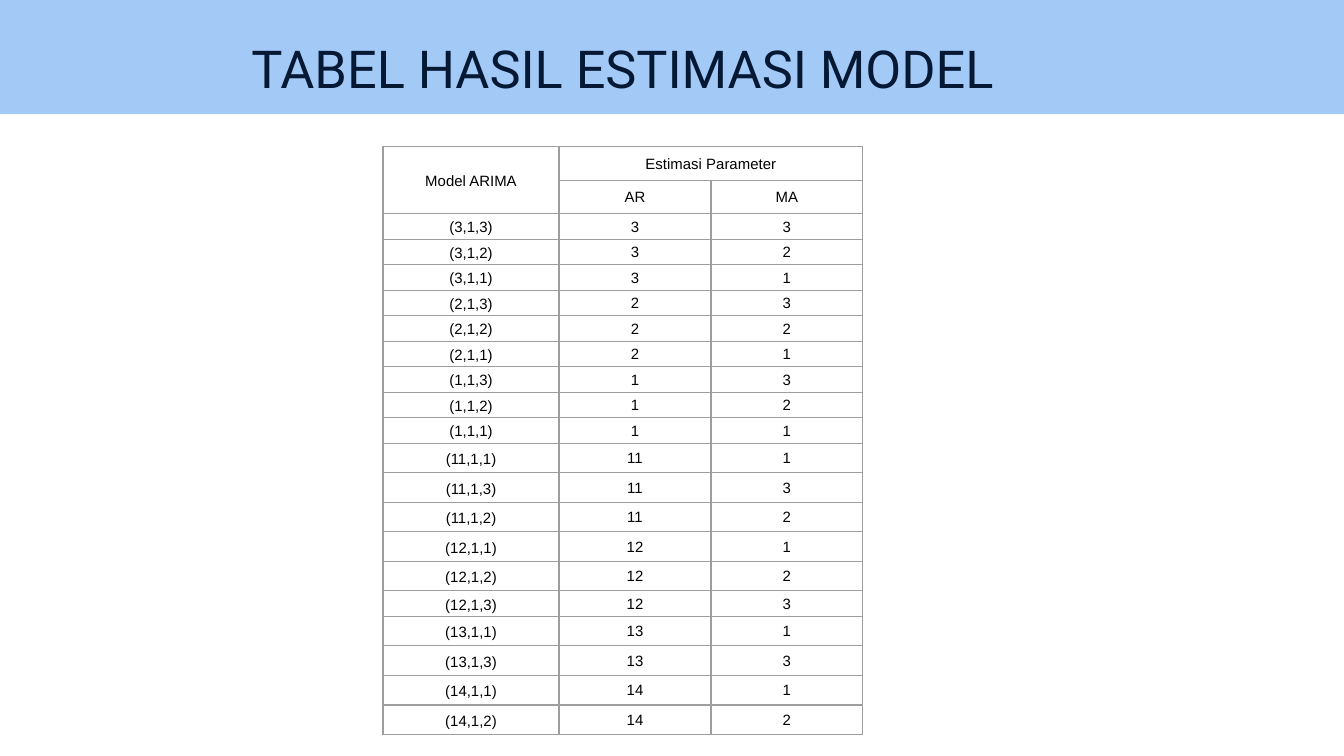
"""Build the slide with the table of ARIMA model estimates."""
from lxml import etree
from pptx import Presentation
from pptx import util as u
from pptx.dml.color import RGBColor
from pptx.enum import shapes, text
from pptx.oxml import ns

TITLE = "TABEL HASIL ESTIMASI MODEL"
MODEL_HEADING = "Model ARIMA"
PARAMETER_HEADING = "Estimasi Parameter"
PARAMETERS = ("AR", "MA")
MODELS = [
    (3, 1, 3), (3, 1, 2), (3, 1, 1),
    (2, 1, 3), (2, 1, 2), (2, 1, 1),
    (1, 1, 3), (1, 1, 2), (1, 1, 1),
    (11, 1, 1), (11, 1, 3), (11, 1, 2),
    (12, 1, 1), (12, 1, 2), (12, 1, 3),
    (13, 1, 1), (13, 1, 3),
    (14, 1, 1), (14, 1, 2),
]
COMPACT_MODEL = (12, 1, 3)

BAND_BLUE = RGBColor(0xA3, 0xCA, 0xF7)
TITLE_NAVY = RGBColor(0x05, 0x19, 0x34)
BLACK = RGBColor(0, 0, 0)
BORDER_GREY = RGBColor(0x9E, 0x9E, 0x9E)

SLIDE_WIDTH = u.Inches(10)
SLIDE_HEIGHT = SLIDE_WIDTH * 9 // 16
COLUMN_WIDTHS = (1.31, 1.13, 1.13)
HEADING_HEIGHT, COMPACT_HEIGHT, TALL_HEIGHT = 0.25, 0.19, 0.22


def add_run(paragraph, words, font_name, size, color):
    run = paragraph.add_run()
    run.text = words
    run.font.name = font_name
    run.font.size = u.Pt(size)
    run.font.color.rgb = color


def model_height(model):
    is_tall = model[0] > 10 and model != COMPACT_MODEL
    return TALL_HEIGHT if is_tall else COMPACT_HEIGHT


def add_borders(cell):
    properties = cell._tc.get_or_add_tcPr()
    for side in ("a:lnL", "a:lnR", "a:lnT", "a:lnB"):
        border = etree.SubElement(properties, ns.qn(side), w=str(u.Pt(0.75)))
        fill = etree.SubElement(border, ns.qn("a:solidFill"))
        etree.SubElement(fill, ns.qn("a:srgbClr"), val=str(BORDER_GREY))


def format_cell(cell, words, inset):
    add_borders(cell)
    cell.fill.background()
    cell.vertical_anchor = text.MSO_ANCHOR.MIDDLE
    cell.margin_left = cell.margin_top = cell.margin_right = u.Inches(inset)
    cell.margin_bottom = 0
    if words:
        paragraph = cell.text_frame.paragraphs[0]
        paragraph.alignment = text.PP_ALIGN.CENTER
        paragraph.line_spacing = 1.07
        paragraph.space_after = u.Pt(8)
        add_run(paragraph, words, "Arial", 8, BLACK)


def add_title(slide):
    title = slide.shapes.title
    title.left, title.top = u.Inches(1.77), u.Inches(0.17)
    title.width, title.height = u.Inches(7.73), u.Inches(0.63)
    frame = title.text_frame
    frame.word_wrap = True
    frame.auto_size = text.MSO_AUTO_SIZE.NONE
    frame.vertical_anchor = text.MSO_ANCHOR.TOP
    frame.margin_left = frame.margin_right = u.Inches(0.1)
    frame.margin_top = frame.margin_bottom = u.Inches(0.1)
    heading = frame.paragraphs[0]
    heading.alignment = text.PP_ALIGN.LEFT
    heading.line_spacing = 1.0
    heading.space_before = u.Pt(0)
    add_run(heading, TITLE, "Roboto", 28, TITLE_NAVY)


def add_band(slide):
    band = slide.shapes.add_shape(
        shapes.MSO_SHAPE.RECTANGLE, 0, 0, SLIDE_WIDTH, u.Inches(0.85))
    band.shadow.inherit = False
    band.fill.solid()
    band.fill.fore_color.rgb = BAND_BLUE
    band.line.fill.background()
    slide.shapes.title._element.addprevious(band._element)


def add_estimates(slide):
    rows = [(MODEL_HEADING, PARAMETER_HEADING, ""), ("", *PARAMETERS)]
    rows += [(f"({p},{d},{q})", str(p), str(q)) for p, d, q in MODELS]
    heights = [HEADING_HEIGHT] * 2 + [model_height(model) for model in MODELS]
    estimates = slide.shapes.add_table(
        len(rows), len(COLUMN_WIDTHS), u.Inches(2.85), u.Inches(1.09),
        u.Inches(sum(COLUMN_WIDTHS)), u.Inches(sum(heights))).table
    estimates.first_row = estimates.horz_banding = False
    for column, width in zip(estimates.columns, COLUMN_WIDTHS):
        column.width = u.Inches(width)
    for row, height, labels in zip(estimates.rows, heights, rows):
        row.height = u.Inches(height)
        for index, (cell, words) in enumerate(zip(row.cells, labels)):
            format_cell(cell, words, 0.01 if index == 0 else 0)
    estimates.cell(0, 0).merge(estimates.cell(1, 0))
    estimates.cell(0, 1).merge(estimates.cell(0, 2))


def main():
    deck = Presentation()
    deck.slide_width, deck.slide_height = SLIDE_WIDTH, SLIDE_HEIGHT
    slide = deck.slides.add_slide(deck.slide_layouts.get_by_name("Title Only"))
    add_title(slide)
    add_band(slide)
    add_estimates(slide)
    deck.save("out.pptx")


if __name__ == "__main__":
    main()
